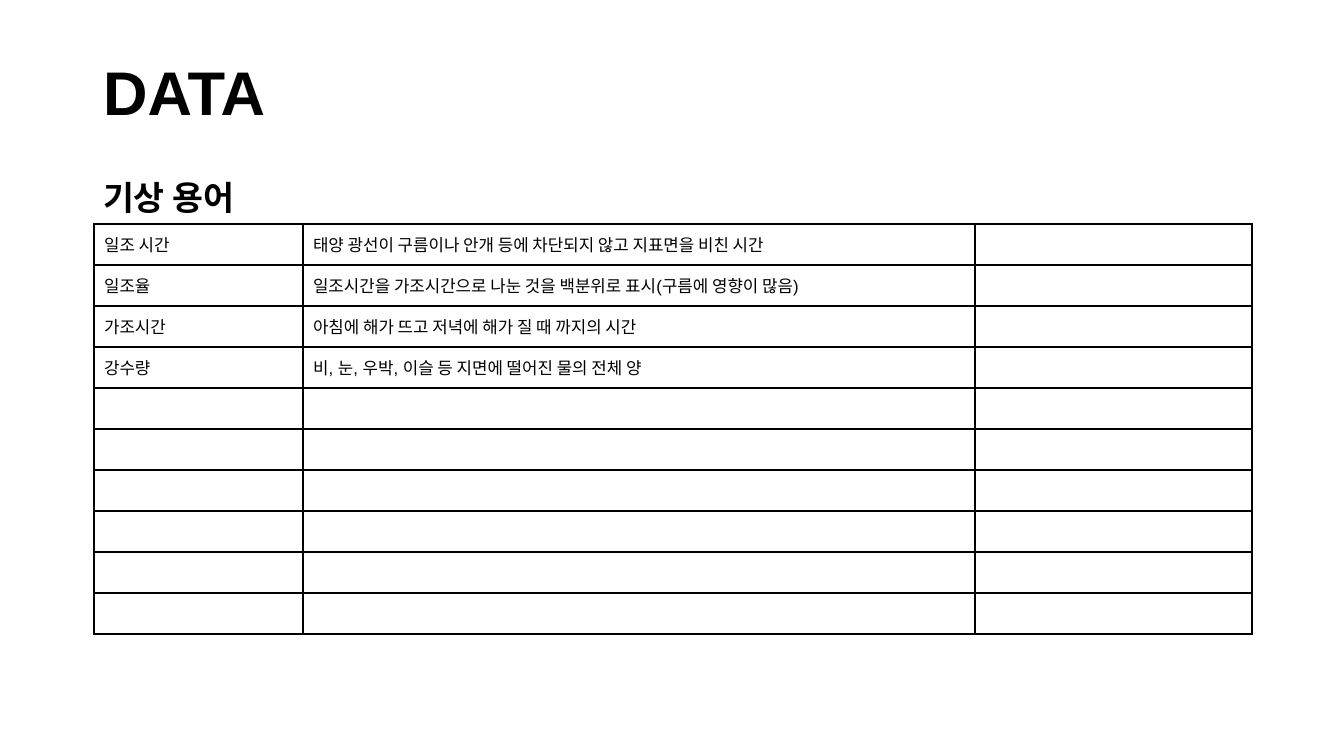
"""Build a slide with a table of weather terms."""
from dataclasses import dataclass

from lxml import etree
from pptx import Presentation
from pptx.dml.color import RGBColor
from pptx.enum.text import MSO_ANCHOR, MSO_AUTO_SIZE, PP_ALIGN
from pptx.oxml.ns import qn
from pptx.util import Pt

MIDDLE = MSO_ANCHOR.MIDDLE
BOTTOM = MSO_ANCHOR.BOTTOM
LEFT = PP_ALIGN.LEFT
FIXED = MSO_AUTO_SIZE.NONE

TITLE = "DATA"
HEAD = "기상 용어"
TERMS = [
    ("일조 시간", "태양 광선이 구름이나 안개 등에 차단되지 않고 지표면을 비친 시간"),
    ("일조율", "일조시간을 가조시간으로 나눈 것을 백분위로 표시(구름에 영향이 많음)"),
    ("가조시간", "아침에 해가 뜨고 저녁에 해가 질 때 까지의 시간"),
    ("강수량", "비, 눈, 우박, 이슬 등 지면에 떨어진 물의 전체 양"),
]
ROWS = 10
COLS = (209, 672, 277)
ROW = 41
SIZE = (1344, 756)
TITLE_BOX = (93, 40, 1159, 112)
HEAD_BOX = (93, 157, 1159, 66)
GRID_AT = (94, 224)
SCALE = 12192000 / SIZE[0]


@dataclass(frozen=True)
class Theme:
    font: str = "Arial"
    ink: str = "000000"
    title: int = 44
    head: int = 24
    cell: int = 12
    line: int = 1


THEME = Theme()


def emu(px):
    return round(px * SCALE)


def style(font, size, bold=False):
    font.name = THEME.font
    font.size = Pt(size)
    font.bold = bold
    font.color.rgb = RGBColor.from_string(THEME.ink)


def write(para, text, size, bold=False):
    para.alignment = LEFT
    run = para.add_run()
    run.text = text
    style(run.font, size, bold)


def fill_box(shape, box, text, size, anchor):
    shape.left, shape.top, shape.width, shape.height = map(emu, box)
    frame = shape.text_frame
    frame.auto_size = FIXED
    frame.word_wrap = True
    frame.vertical_anchor = anchor
    para = frame.paragraphs[0]
    para.line_spacing = 0.9
    para.space_before = Pt(0)
    write(para, text, size, True)


def border(cell):
    props = cell._tc.get_or_add_tcPr()
    for spot, side in enumerate(("a:lnL", "a:lnR", "a:lnT", "a:lnB")):
        line = etree.Element(qn(side), w=str(Pt(THEME.line)))
        fill = etree.SubElement(line, qn("a:solidFill"))
        etree.SubElement(fill, qn("a:srgbClr"), val=THEME.ink)
        props.insert(spot, line)


def add_grid(slide):
    x, y = GRID_AT
    area = map(emu, (x, y, sum(COLS), ROW * ROWS))
    table = slide.shapes.add_table(ROWS, len(COLS), *area).table
    table.first_row = False
    table.horz_banding = False
    for col, width in zip(table.columns, COLS):
        col.width = emu(width)
    for row in table.rows:
        row.height = emu(ROW)
    for cell in table.iter_cells():
        cell.fill.background()
        cell.vertical_anchor = MIDDLE
        style(cell.text_frame.paragraphs[0].font, THEME.cell)
        border(cell)
    for r, term in enumerate(TERMS):
        for c, text in enumerate(term):
            write(table.cell(r, c).text_frame.paragraphs[0], text, THEME.cell)


def main():
    deck = Presentation()
    deck.slide_width, deck.slide_height = map(emu, SIZE)
    slide = deck.slides.add_slide(deck.slide_layouts[2])
    fill_box(slide.shapes.title, TITLE_BOX, TITLE, THEME.title, MIDDLE)
    fill_box(slide.placeholders[1], HEAD_BOX, HEAD, THEME.head, BOTTOM)
    add_grid(slide)
    deck.save("out.pptx")


if __name__ == "__main__":
    main()
